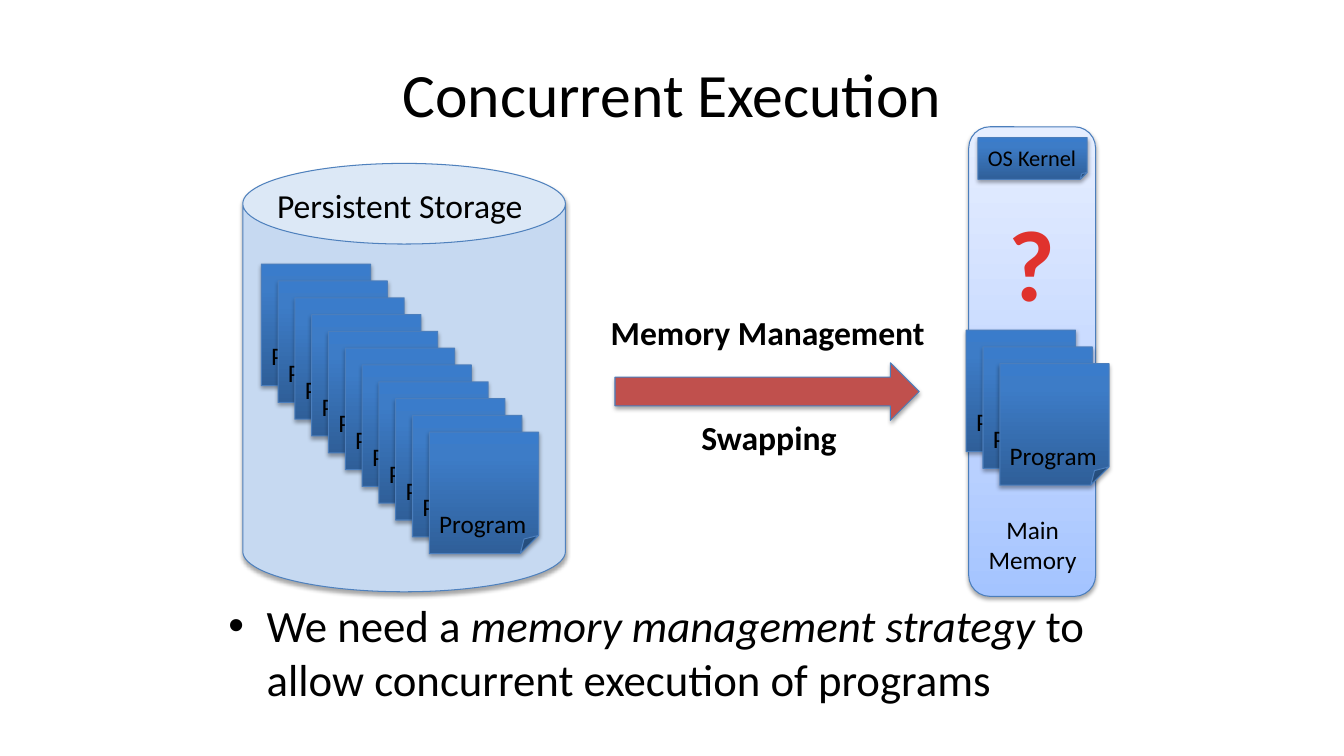
from pptx import Presentation
from pptx.dml.color import RGBColor
from pptx.enum.shapes import MSO_SHAPE as Preset
from pptx.enum.text import MSO_ANCHOR, MSO_AUTO_SIZE, PP_ALIGN
from pptx.oxml import parse_xml
from pptx.oxml.ns import nsdecls, qn
from pptx.util import Inches, Pt

BLACK = RGBColor(0x00, 0x00, 0x00)
RED = RGBColor(0xE0, 0x32, 0x2D)
STORAGE_BLUE = RGBColor(0xC6, 0xD9, 0xF1)
STORAGE_LINE = RGBColor(0x4F, 0x81, 0xBD)
LINE_BLUE = RGBColor(0x4B, 0x7E, 0xBC)
ARROW_RED = RGBColor(0xC0, 0x50, 0x4D)
# Gradient stops run from bottom to top: (percent, colour)
PAGE_STOPS = [(0, RGBColor(0x2F, 0x5F, 0x99)), (80, RGBColor(0x3D, 0x7C, 0xC7)),
              (100, RGBColor(0x3A, 0x7C, 0xCB))]
MEMORY_STOPS = [(0, RGBColor(0xA4, 0xC4, 0xFF)), (35, RGBColor(0xBF, 0xD4, 0xFF)),
                (100, RGBColor(0xE6, 0xEE, 0xFF))]

presentation = Presentation()
presentation.slide_width = Inches(13.33)
presentation.slide_height = Inches(7.5)
slide = presentation.slides.add_slide(presentation.slide_layouts[6])

# The slide is a grid of square cells, 160 columns by 90 rows
CELL = presentation.slide_height / 90


def add_block(preset, cells, fill, line=LINE_BLUE):
    """Add a shadowed shape; fill is one colour or a list of gradient stops."""
    shape = slide.shapes.add_shape(preset, *[round(n * CELL) for n in cells])
    properties = shape._element.spPr
    if isinstance(fill, list):
        stops = "".join(f'<a:gs pos="{percent * 1000}"><a:srgbClr val="{color}"/></a:gs>'
                        for percent, color in fill)
        properties.insert(2, parse_xml(
            f'<a:gradFill {nsdecls("a")} rotWithShape="1"><a:gsLst>{stops}</a:gsLst>'
            '<a:lin ang="16200000" scaled="0"/></a:gradFill>'))
    else:
        shape.fill.solid()
        shape.fill.fore_color.rgb = fill
    shape.line.color.rgb = line
    shape.line.width = Pt(0.75)
    shape.shadow.inherit = False
    properties.find(qn("a:effectLst")).append(parse_xml(
        f'<a:outerShdw {nsdecls("a")} blurRad="{Pt(3.1)}" dist="{Pt(1.8)}" dir="5400000" '
        'rotWithShape="0"><a:srgbClr val="000000"><a:alpha val="35000"/></a:srgbClr>'
        '</a:outerShdw>'))


def add_label(text, cells, size, bold=False, color=BLACK, align=PP_ALIGN.LEFT, wrap=False):
    box = slide.shapes.add_textbox(*[round(n * CELL) for n in cells])
    frame = box.text_frame
    frame.text = text
    frame.word_wrap = wrap
    frame.auto_size = MSO_AUTO_SIZE.NONE if wrap else MSO_AUTO_SIZE.SHAPE_TO_FIT_TEXT
    for paragraph in frame.paragraphs:
        paragraph.alignment = align
        for run in paragraph.runs:
            run.font.name = "Calibri"
            run.font.size = Pt(size)
            run.font.bold = bold
            run.font.color.rgb = color
    return frame


title = add_label("Concurrent Execution", (8, 3.6, 144, 15), 44,
                  align=PP_ALIGN.CENTER, wrap=True)
title.vertical_anchor = MSO_ANCHOR.MIDDLE

# Bullet with one phrase in italics
body = add_label("We need a ", (26, 70.6, 108, 16.1), 32, wrap=True)
bullet = body.paragraphs[0]
for text, italic in [("memory management strategy ", True),
                     ("to allow concurrent execution of programs", False)]:
    run = bullet.add_run()
    run.text = text
    run.font.name = "Calibri"
    run.font.size = Pt(32)
    run.font.italic = italic
    run.font.color.rgb = BLACK
bullet_properties = bullet._p.get_or_add_pPr()
bullet_properties.set("marL", str(Inches(0.38)))
bullet_properties.set("indent", str(-Inches(0.38)))
bullet_properties.append(parse_xml(f'<a:buFont {nsdecls("a")} typeface="Arial"/>'))
bullet_properties.append(parse_xml(f'<a:buChar {nsdecls("a")} char="•"/>'))

# Containers, kernel and arrow
add_block(Preset.CAN, (28.9, 19.45, 38.4, 51), STORAGE_BLUE, STORAGE_LINE)
add_label("Persistent Storage", (31.8, 21.4, 32.4, 6), 24)
add_block(Preset.ROUNDED_RECTANGLE, (115.3, 15.1, 15.1, 55.9), MEMORY_STOPS)
add_label("Main\nMemory", (116.4, 60.6, 13, 8.5), 18, align=PP_ALIGN.CENTER)
add_block(Preset.FOLDED_CORNER, (116.4, 16.4, 13, 4.95), PAGE_STOPS)
add_label("OS Kernel", (116.4, 16.55, 13.1, 4.45), 16)
add_label("?", (118.8, 23.3, 8.2, 15.7), 72, bold=True, color=RED)
add_block(Preset.RIGHT_ARROW, (73.2, 43.2, 36.2, 6.85), ARROW_RED)
add_label("Memory Management", (71.5, 36.5, 40.2, 6), 24, bold=True)
add_label("Swapping", (82.3, 49, 18.7, 6), 24, bold=True)

# Cascades of programs: first column, first row, count
for first_column, first_row, count in [(31.1, 31.45, 11), (115, 39.3, 3)]:
    for step in range(count):
        column, row = first_column + 2 * step, first_row + 2 * step
        add_block(Preset.FOLDED_CORNER, (column, row, 13, 14.45), PAGE_STOPS)
        add_label("Program", (column, row + 8.5, 13, 4.8), 18)

presentation.save("out.pptx")
